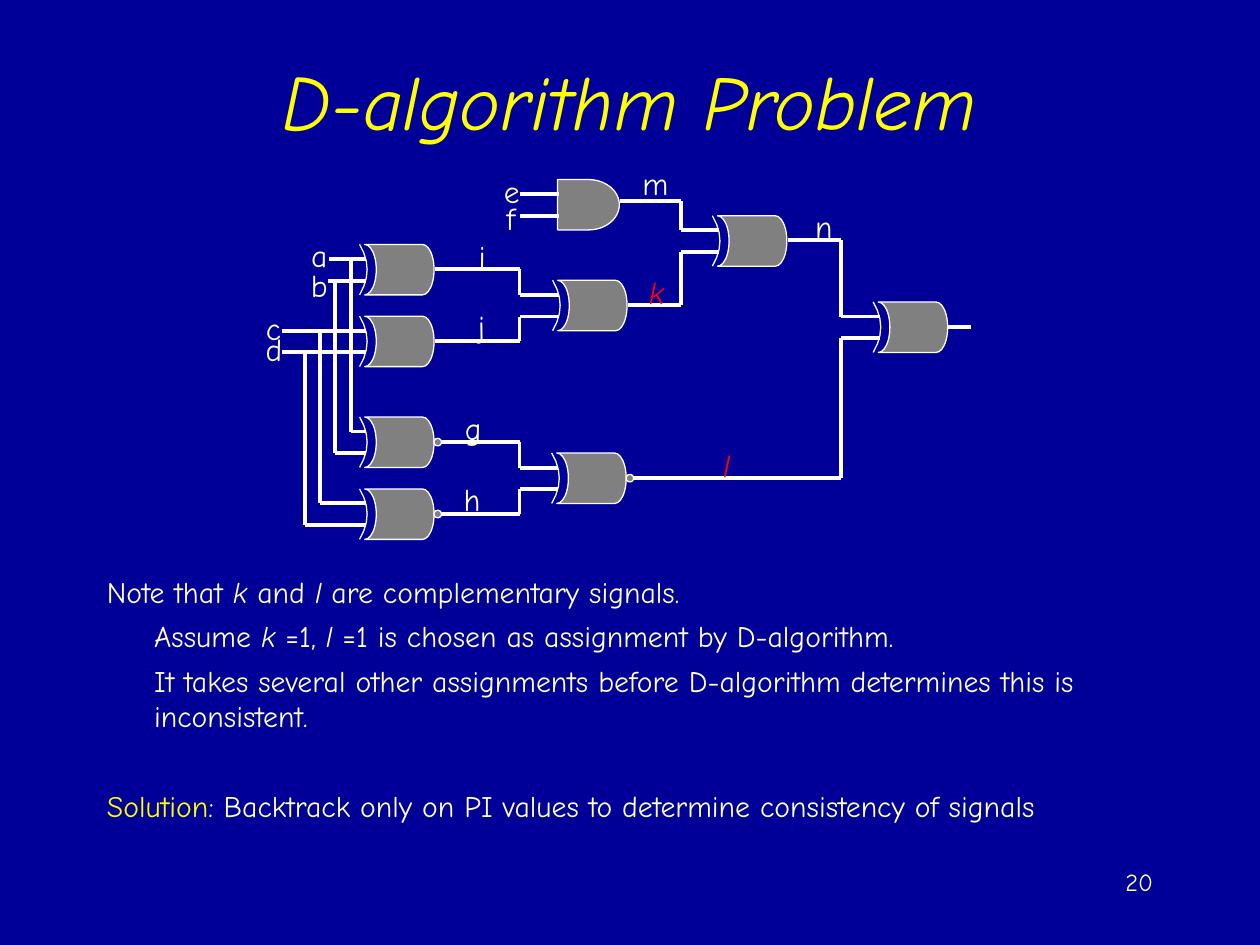
import pptx
import pptx.dml.color
import pptx.enum.shapes
import pptx.enum.text
import pptx.oxml.ns
import pptx.util
from lxml import etree

Pt = pptx.util.Pt
SHAPE = pptx.enum.shapes.MSO_SHAPE
ALIGN = pptx.enum.text.PP_ALIGN
ANCHOR = pptx.enum.text.MSO_ANCHOR

FONT = "Comic Neue"
NAVY, YELLOW, CREAM = "000099", "FFFF00", "FFFFCC"
WHITE, GREY, RED = "FFFFFF", "808080", "FF0000"

# Lists of (text, run format) runs; each paragraph adds its own indent and space before
ITALIC = {"italic": True}
TITLE = [("D-algorithm Problem", ITALIC)]
NOTES = [
    ([("Note that", {}), (" k", ITALIC), (" and ", {}), ("l", ITALIC),
      (" are complementary signals.", {})], 0, 0),
    ([("Assume ", {}), ("k ", ITALIC), ("=1, ", {}), ("l ", ITALIC),
      ("=1 is chosen as assignment by D-algorithm.", {})], 27, 5),
    ([("It takes several other assignments before D-algorithm determines "
       "this is inconsistent.", {})], 27, 5),
    ([("Solution", {"color": YELLOW}),
      (": Backtrack only on PI values to determine consistency of signals", {})], 0, 30.5),
]

# Gates, named after their output signal: kind, left, top
GATES = {
    "i": ("xor", 208.4, 139.7), "j": ("xor", 208.4, 180.7),
    "g": ("xnor", 208.4, 238.3), "h": ("xnor", 208.4, 279.4),
    "k": ("xor", 318.7, 160.2), "l": ("xnor", 318.2, 258.9),
    "m": ("and", 318.6, 102.6), "n": ("xor", 410, 123.3),
    "out": ("xor", 501.9, 172.6),
}
# Driving gate, driven gate, input port, x of the vertical run
NETS = [
    ("i", "k", 0, 296.9), ("j", "k", 1, 296.9),
    ("g", "l", 0, 296.9), ("h", "l", 1, 296.9),
    ("m", "n", 0, 389.1), ("k", "n", 1, 389.1),
    ("n", "out", 0, 480.8), ("l", "out", 1, 480.8),
]
# Start x, gate, port, x of the branch, gate fed by the branch
INPUTS = [
    (188, "i", 0, 200.4, "g"), (187.2, "i", 1, 191.7, "g"),
    (161.3, "j", 0, 182.9, "h"), (161.3, "j", 1, 174.2, "h"),
    (296.9, "m", 0, None, None), (296.9, "m", 1, None, None),
]
# Signal: left, top, width
LABELS = {
    "a": (170.6, 131.2, 23.8), "b": (170.6, 148.3, 23.8),
    "c": (144.7, 172.8, 23), "d": (144.7, 185.2, 23.8),
    "e": (280.8, 95, 23), "f": (282.2, 110.4, 19.4),
    "i": (266.4, 131.8, 18), "j": (265.7, 172.1, 18.7),
    "g": (258.5, 230.4, 23.8), "h": (257.8, 270.7, 23.8),
    "k": (363.6, 152.6, 23), "n": (458.6, 114.5, 24.5),
    "l": (406.1, 251.3, 18), "m": (360, 90, 28.8),
}
CONFLICT = "kl"

GATE_HEIGHT = 28.8
BODY_WIDTH = {"xor": 39.6, "xnor": 39.6, "and": 35.3}
OUTPUT_DROP = {"xor": 14.1, "xnor": 14.3, "and": 12.4}
PORT_DROP = (8.3, 20.7)
BUBBLE = 4.3


def rgb(value):
    return pptx.dml.color.RGBColor.from_string(value)


def add_text(slide, paragraphs, left, top, width, height, size, color=CREAM,
             align=ALIGN.LEFT, anchor=ANCHOR.TOP, wrap=True):
    """Paragraphs are (runs, indent, space before)."""
    frame = slide.shapes.add_textbox(Pt(left), Pt(top), Pt(width), Pt(height)).text_frame
    frame.word_wrap = wrap
    frame.vertical_anchor = anchor
    for number, (runs, indent, space) in enumerate(paragraphs):
        paragraph = frame.add_paragraph() if number else frame.paragraphs[0]
        paragraph.alignment = align
        if space:
            paragraph.space_before = Pt(space)
        if indent:
            paragraph._p.get_or_add_pPr().set("marL", str(Pt(indent)))
        for text, style in runs:
            run = paragraph.add_run()
            run.text = text
            run.font.name = FONT
            run.font.size = Pt(size)
            run.font.italic = style.get("italic", False)
            run.font.color.rgb = rgb(style.get("color", color))


def outline(shape):
    shape.shadow.inherit = False
    shape.line.color.rgb = rgb(WHITE)
    shape.line.width = Pt(0.75)


def add_part(slide, preset, left, top, width, height):
    part = slide.shapes.add_shape(preset, Pt(left), Pt(top), Pt(width), Pt(height))
    part.fill.solid()
    part.fill.fore_color.rgb = rgb(GREY)
    outline(part)
    return part


def add_input_arc(slide, left, top, depth=4.3, steps=6):
    """The second, bowed input line of an exclusive gate."""
    points = []
    for step in range(steps + 1):
        t = step / steps
        points.append((Pt(left + depth * 4 * t * (1 - t)), Pt(top + GATE_HEIGHT * t)))
    builder = slide.shapes.build_freeform(*points[0])
    builder.add_line_segments(points[1:], close=False)
    arc = builder.convert_to_shape()
    arc.fill.background()
    outline(arc)


def add_gate(slide, kind, left, top):
    width = BODY_WIDTH[kind]
    if kind == "and":
        add_part(slide, SHAPE.FLOWCHART_DELAY, left, top, width, GATE_HEIGHT)
        return
    body = add_part(slide, SHAPE.FLOWCHART_STORED_DATA, left, top, width, GATE_HEIGHT)
    body.rotation = 180
    add_input_arc(slide, left - 2.9, top)
    if kind == "xnor":
        add_part(slide, SHAPE.OVAL, left + width, top + 12.2, BUBBLE, BUBBLE)


def add_wire(slide, *points):
    for (x1, y1), (x2, y2) in zip(points, points[1:]):
        wire = slide.shapes.add_connector(
            pptx.enum.shapes.MSO_CONNECTOR.STRAIGHT, Pt(x1), Pt(y1), Pt(x2), Pt(y2))
        wire.line.color.rgb = rgb(WHITE)
        wire.line.width = Pt(2.25)
        etree.SubElement(wire._element.spPr, pptx.oxml.ns.qn("a:effectLst"))


def input_point(gate, port):
    _, left, top = GATES[gate]
    return left + 0.8, top + PORT_DROP[port]


def output_point(gate):
    kind, left, top = GATES[gate]
    bubble = BUBBLE if kind == "xnor" else 0
    return left + BODY_WIDTH[kind] + bubble + 0.4, top + OUTPUT_DROP[kind]


def main():
    deck = pptx.Presentation()
    deck.slide_width, deck.slide_height = Pt(720), Pt(540)
    slide = deck.slides.add_slide(deck.slide_layouts[6])
    slide.background.fill.solid()
    slide.background.fill.fore_color.rgb = rgb(NAVY)

    add_text(slide, [(TITLE, 0, 0)], 54, 12.2, 612, 90, 44, color=YELLOW,
             align=ALIGN.CENTER, anchor=ANCHOR.MIDDLE)
    add_text(slide, NOTES, 54, 324.2, 612, 156, 17)

    for gate in GATES.values():
        add_gate(slide, *gate)
    for source, target, port, column in NETS:
        start, end = output_point(source), input_point(target, port)
        add_wire(slide, start, (column, start[1]), (column, end[1]), end)
    for start, gate, port, branch, branch_gate in INPUTS:
        end = input_point(gate, port)
        add_wire(slide, (start, end[1]), end)
        if branch:
            branch_end = input_point(branch_gate, port)
            add_wire(slide, (branch, end[1]), (branch, branch_end[1]), branch_end)
    x, y = output_point("out")
    add_wire(slide, (x, y), (x + 13, y))

    for signal, (left, top, width) in LABELS.items():
        style = {"italic": True, "color": RED} if signal in CONFLICT else {}
        add_text(slide, [([(signal, style)], 0, 0)], left, top, width, 28.8, 18,
                 align=ALIGN.CENTER, anchor=ANCHOR.MIDDLE, wrap=False)
    add_text(slide, [([("20", {})], 0, 0)], 516, 492, 150, 36, 14, align=ALIGN.RIGHT)
    deck.save("out.pptx")


if __name__ == "__main__":
    main()
